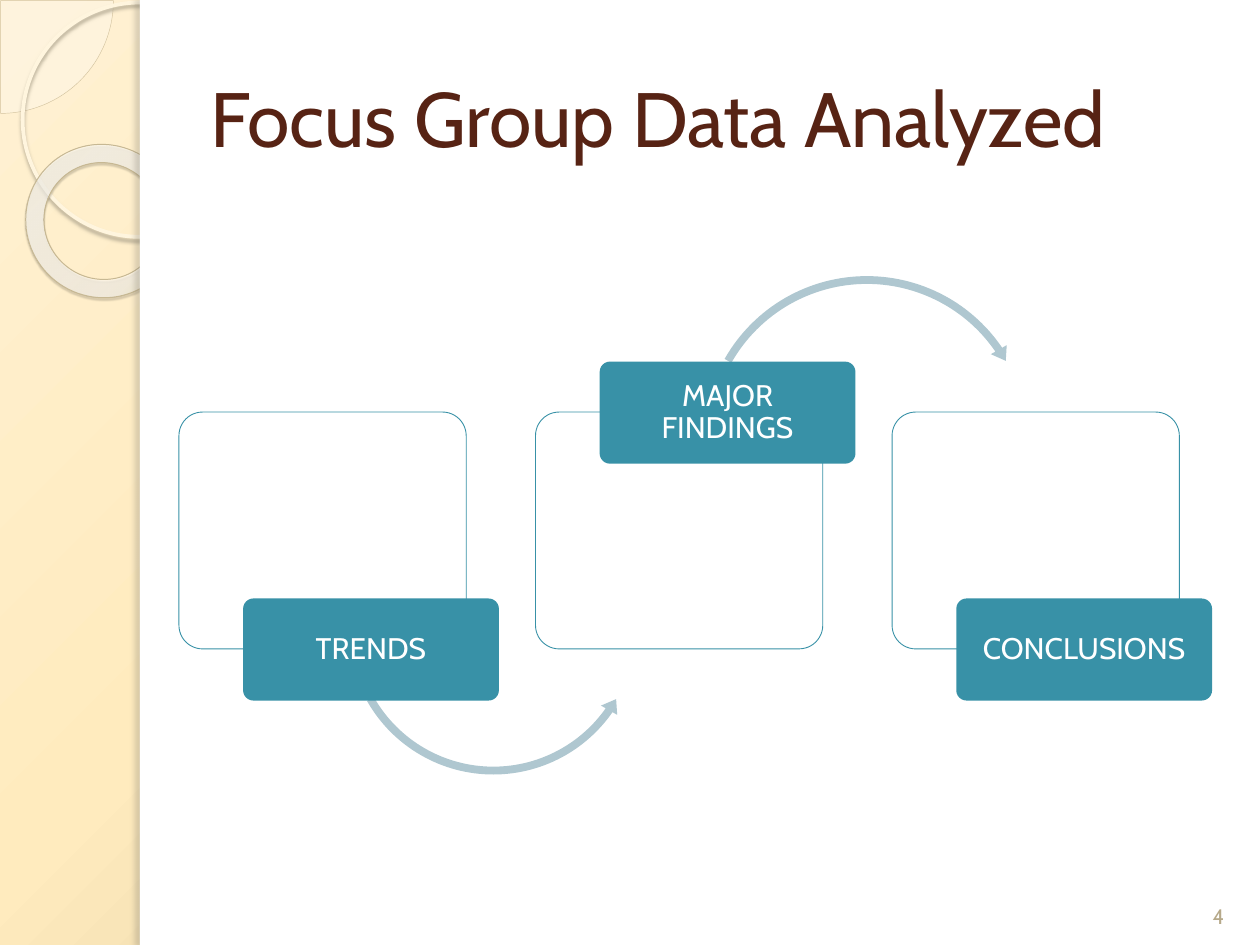
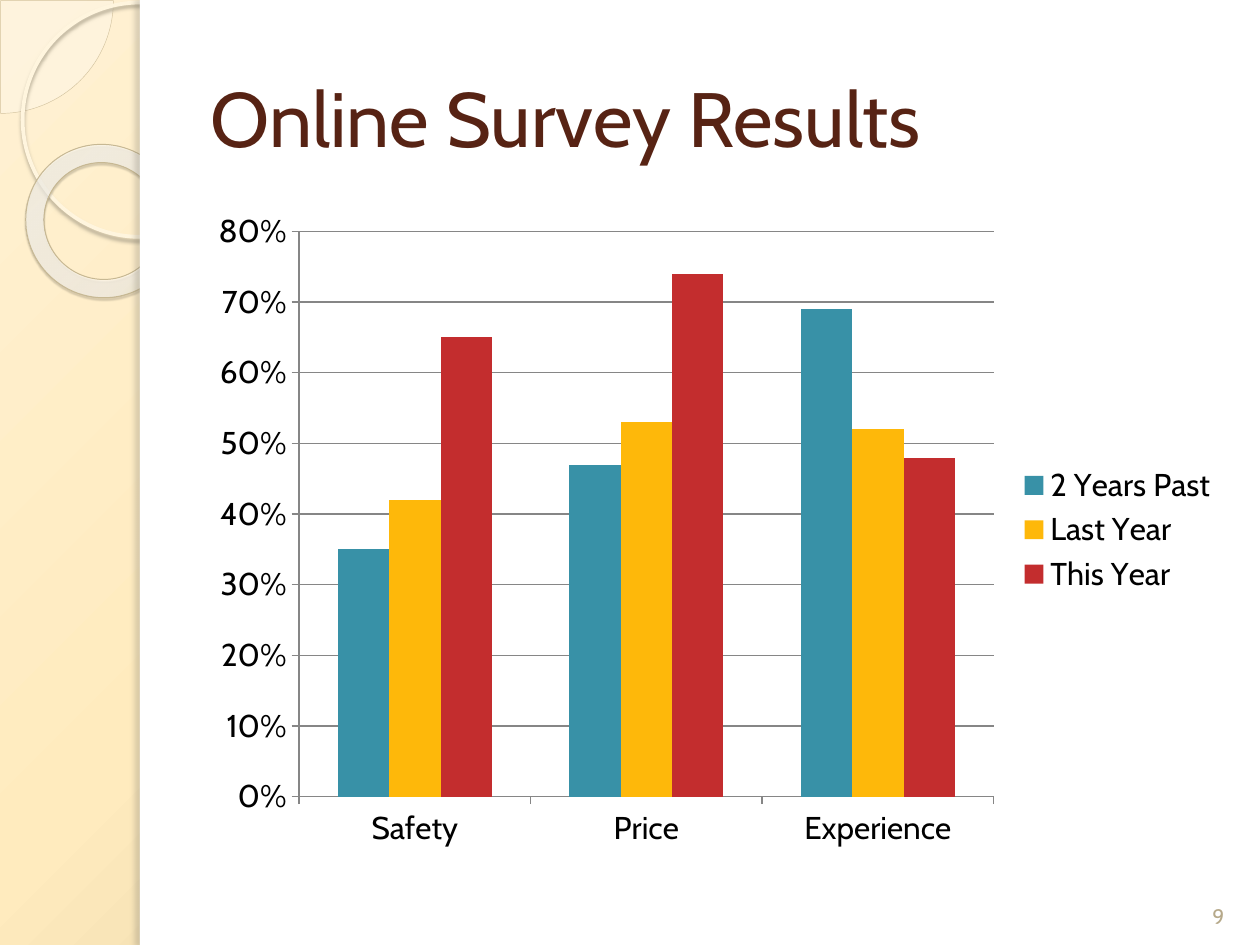
from lxml.etree import SubElement
from pptx import Presentation
from pptx.chart.data import CategoryChartData
from pptx.dml.color import RGBColor
from pptx.enum.chart import XL_CHART_TYPE, XL_LEGEND_POSITION, XL_TICK_MARK
from pptx.enum.shapes import MSO_SHAPE
from pptx.enum.text import MSO_ANCHOR, MSO_AUTO_SIZE, PP_ALIGN
from pptx.oxml.ns import qn
from pptx.util import Inches, Pt

# Shared style
FONT = "Cabin"
BROWN = RGBColor(0x57, 0x23, 0x14)
TEAL = RGBColor(0x38, 0x91, 0xA7)
PALE_TEAL = RGBColor(0xAF, 0xC7, 0xD0)
YELLOW = RGBColor(0xFE, 0xB8, 0x0A)
RED = RGBColor(0xC3, 0x2D, 0x2E)
WHITE = RGBColor(0xFF, 0xFF, 0xFF)
BLACK = RGBColor(0, 0, 0)
GREY = RGBColor(0x86, 0x86, 0x86)
NUMBER_TAN = RGBColor(0xB6, 0xA9, 0x8A)

# Side band colours
CREAM = RGBColor(0xFE, 0xFA, 0xF4)
PIE_LINE = RGBColor(0xD3, 0xC3, 0x9F)
RING_LINE = RGBColor(0xFF, 0xF5, 0xDE)
RING_SHADOW = RGBColor(0xB0, 0xA6, 0x8F)
DONUT_LINE = RGBColor(0xC7, 0xB8, 0x93)
DONUT_SHADOW = RGBColor(0x5A, 0x54, 0x44)
EDGE_SHADOW = RGBColor(0x73, 0x6F, 0x63)

# Gradient stops: position, colour, opacity in percent
BACKGROUND_STOPS = [
    (0, RGBColor(0xFF, 0xF1, 0xD3), 100),
    (40, RGBColor(0xFF, 0xEB, 0xBE), 100),
    (100, RGBColor(0xC9, 0xB4, 0x84), 100),
]
DONUT_STOPS = [
    (0, RGBColor(0xFF, 0xFC, 0xF6), 70),
    (70, RGBColor(0xFF, 0xFE, 0xFB), 55),
    (100, RGBColor(0xF0, 0xD2, 0x8E), 60),
]


def add_colour(parent, colour, opacity):
    element = SubElement(parent, qn("a:srgbClr"), val=str(colour))
    if opacity < 100:
        SubElement(element, qn("a:alpha"), val=str(opacity * 1000))


def make_radial(parent, stops, focus):
    """Turn the solid fill of parent into a circular gradient."""
    solid = parent.find(qn("a:solidFill"))
    gradient = SubElement(parent, qn("a:gradFill"), rotWithShape="1")
    parent.replace(solid, gradient)
    stop_list = SubElement(gradient, qn("a:gsLst"))
    for position, colour, opacity in stops:
        stop = SubElement(stop_list, qn("a:gs"), pos=str(position * 1000))
        add_colour(stop, colour, opacity)
    circle = SubElement(gradient, qn("a:path"), path="circle")
    sides = {side: str(value * 1000) for side, value in zip("ltrb", focus)}
    SubElement(circle, qn("a:fillToRect"), **sides)


class Deck:
    def __init__(self):
        self.presentation = Presentation()
        self.presentation.slide_width = Inches(10)
        self.presentation.slide_height = Inches(7.5)
        self.layout = self.presentation.slide_layouts[5]
        self.slide = None
        master = self.presentation.slide_master
        master.background.fill.solid()
        properties = master.element.find(".//" + qn("p:bgPr"))
        make_radial(properties, BACKGROUND_STOPS, (51, -20, 200, 120))

    def add_slide(self, title, number):
        self.slide = self.presentation.slides.add_slide(self.layout)
        placeholder = self.slide.shapes.title
        placeholder.left, placeholder.top = Inches(1.57), Inches(0.3)
        placeholder.width, placeholder.height = Inches(8.2), Inches(1.25)
        self.add_text(placeholder, title, 44, BROWN, PP_ALIGN.LEFT)
        box = self.slide.shapes.add_textbox(
            Inches(9.42), Inches(6.9), Inches(0.5), Inches(0.52))
        self.add_text(box, number, 12, NUMBER_TAN, anchor=MSO_ANCHOR.BOTTOM)

    def add_text(self, shape, text, size, colour, align=PP_ALIGN.CENTER,
                 anchor=MSO_ANCHOR.MIDDLE):
        frame = shape.text_frame
        frame.word_wrap = True
        frame.auto_size = MSO_AUTO_SIZE.NONE
        frame.vertical_anchor = anchor
        paragraph = frame.paragraphs[0]
        paragraph.alignment = align
        run = paragraph.add_run()
        run.text = text
        run.font.name = FONT
        run.font.size = Pt(size)
        run.font.color.rgb = colour
        return paragraph

    def shape(self, kind, left, top, width, height, fill=None, opacity=100,
              line=None, line_width=0.5, adjustments=(), shadow=None):
        shape = self.slide.shapes.add_shape(
            kind, Inches(left), Inches(top), Inches(width), Inches(height))
        for index, value in enumerate(adjustments):
            shape.adjustments[index] = value
        if fill is None:
            shape.fill.background()
        else:
            shape.fill.solid()
            shape.fill.fore_color.rgb = fill
            if opacity < 100:
                solid = shape.element.spPr.find(qn("a:solidFill"))
                SubElement(solid[0], qn("a:alpha"), val=str(opacity * 1000))
        if line is None:
            shape.line.fill.background()
        else:
            shape.line.color.rgb = line
            shape.line.width = Pt(line_width)
        shape.shadow.inherit = False
        if shadow:
            self.cast_shadow(shape, *shadow)
        return shape

    def cast_shadow(self, shape, colour, opacity, blur, distance, angle):
        effects = shape.element.spPr.find(qn("a:effectLst"))
        outer = SubElement(
            effects, qn("a:outerShdw"), blurRad=str(Pt(blur)),
            dist=str(Pt(distance)), dir=str(angle * 60000),
            algn="tl", rotWithShape="0")
        add_colour(outer, colour, opacity)

    def share_side_band(self):
        """Draw the side band and hand it to the layout, behind its text."""
        pie = self.shape(MSO_SHAPE.PIE, -0.89, -0.89, 1.79, 1.79, CREAM, 33,
                         PIE_LINE, 0.25, (0, 54.02))
        ring = self.shape(MSO_SHAPE.OVAL, 0.18, 0.02, 1.86, 1.86,
                          line=RING_LINE, line_width=2.15,
                          shadow=(RING_SHADOW, 85, 2, 2, 90))
        donut = self.shape(MSO_SHAPE.DONUT, 0.2, 1.15, 1.23, 1.21, CREAM,
                           line=DONUT_LINE, line_width=0.58,
                           adjustments=(0.12,),
                           shadow=(DONUT_SHADOW, 35, 1, 1.2, 75))
        donut.rotation = 38.6
        make_radial(donut.element.spPr, DONUT_STOPS, (85, 100, 1000, 300))
        panel = self.shape(MSO_SHAPE.RECTANGLE, 1.11, 0, 8.89, 7.5, WHITE)
        edge = self.shape(MSO_SHAPE.RECTANGLE, 1.11, 0, 0.08, 7.5, WHITE,
                          shadow=(EDGE_SHADOW, 25, 3, 3, 180))

        tree = self.layout.shapes.element
        for index, shape in enumerate((pie, ring, donut, panel, edge)):
            shape.element.nvSpPr.cNvPr.set("id", str(100 + index))
            tree.insert(2 + index, shape.element)

    def label(self, text, left, top):
        shape = self.shape(MSO_SHAPE.ROUNDED_RECTANGLE, left, top, 2.03, 0.81,
                           TEAL, adjustments=(0.1,))
        frame = shape.text_frame
        frame.margin_left = frame.margin_right = Inches(0.15)
        frame.margin_top = frame.margin_bottom = Inches(0.13)
        self.add_text(shape, text, 17, WHITE).line_spacing = 0.9

    def column_chart(self, categories, series, left, top, width, height):
        data = CategoryChartData(number_format="0%")
        data.categories = categories
        for name, values, _ in series:
            data.add_series(name, values)
        chart = self.slide.shapes.add_chart(
            XL_CHART_TYPE.COLUMN_CLUSTERED, Inches(left), Inches(top),
            Inches(width), Inches(height), data).chart
        chart.has_title = False
        chart.font.name = FONT
        chart.font.size = Pt(18)
        chart.font.color.rgb = BLACK
        chart.has_legend = True
        chart.legend.position = XL_LEGEND_POSITION.RIGHT
        chart.legend.include_in_layout = False

        plot = chart.plots[0]
        plot.gap_width = 150
        plot.vary_by_categories = False
        for column, (_, _, colour) in zip(plot.series, series):
            column.format.fill.solid()
            column.format.fill.fore_color.rgb = colour

        value_axis = chart.value_axis
        value_axis.minimum_scale, value_axis.maximum_scale = 0, 0.8
        value_axis.major_unit = 0.1
        value_axis.tick_labels.number_format = "0%"
        value_axis.tick_labels.number_format_is_linked = False
        value_axis.has_major_gridlines = True
        for axis in (chart.category_axis, value_axis):
            axis.major_tick_mark = XL_TICK_MARK.OUTSIDE
            axis.minor_tick_mark = XL_TICK_MARK.NONE
        for part in (chart.category_axis, value_axis, value_axis.major_gridlines):
            part.format.line.color.rgb = GREY
            part.format.line.width = Pt(0.75)


def build_analysis(deck):
    deck.add_slide("Focus Group Data Analyzed", "4")
    deck.share_side_band()

    # Steps: each label straddles the top or bottom edge of its box
    box_top, box_height = 3.27, 1.88
    upper, lower = box_top - 0.4, box_top + box_height - 0.4
    left_turn = (MSO_SHAPE.LEFT_CIRCULAR_ARROW, 2.72, 3.8, 2.39,
                 (0.026, 3.203, 20.958, 90.245, 0.031))
    right_turn = (MSO_SHAPE.CIRCULAR_ARROW, 5.54, 2.15, 2.68,
                  (0.023, 2.836, 195.409, 125.755, 0.027))
    steps = [
        ("TRENDS", lower, left_turn),
        ("MAJOR FINDINGS", upper, right_turn),
        ("CONCLUSIONS", lower, None),
    ]
    for index, (text, label_top, arrow) in enumerate(steps):
        left = 1.42 + 2.83 * index
        deck.shape(MSO_SHAPE.ROUNDED_RECTANGLE, left, box_top, 2.28, box_height,
                   WHITE, 90, TEAL, 0.5, (0.1,))
        if arrow:
            kind, arrow_left, arrow_top, size, adjustments = arrow
            deck.shape(kind, arrow_left, arrow_top, size, size, PALE_TEAL,
                       adjustments=adjustments)
        deck.label(text, left + 0.51, label_top)


def build_survey(deck):
    deck.add_slide("Online Survey Results", "9")
    series = [
        ("2 Years Past", (0.35, 0.47, 0.69), TEAL),
        ("Last Year", (0.42, 0.53, 0.52), YELLOW),
        ("This Year", (0.65, 0.74, 0.48), RED),
    ]
    deck.column_chart(("Safety", "Price", "Experience"), series,
                      1.57, 1.58, 8.2, 5.25)


def main():
    deck = Deck()
    build_analysis(deck)
    build_survey(deck)
    deck.presentation.save("out.pptx")


if __name__ == "__main__":
    main()
